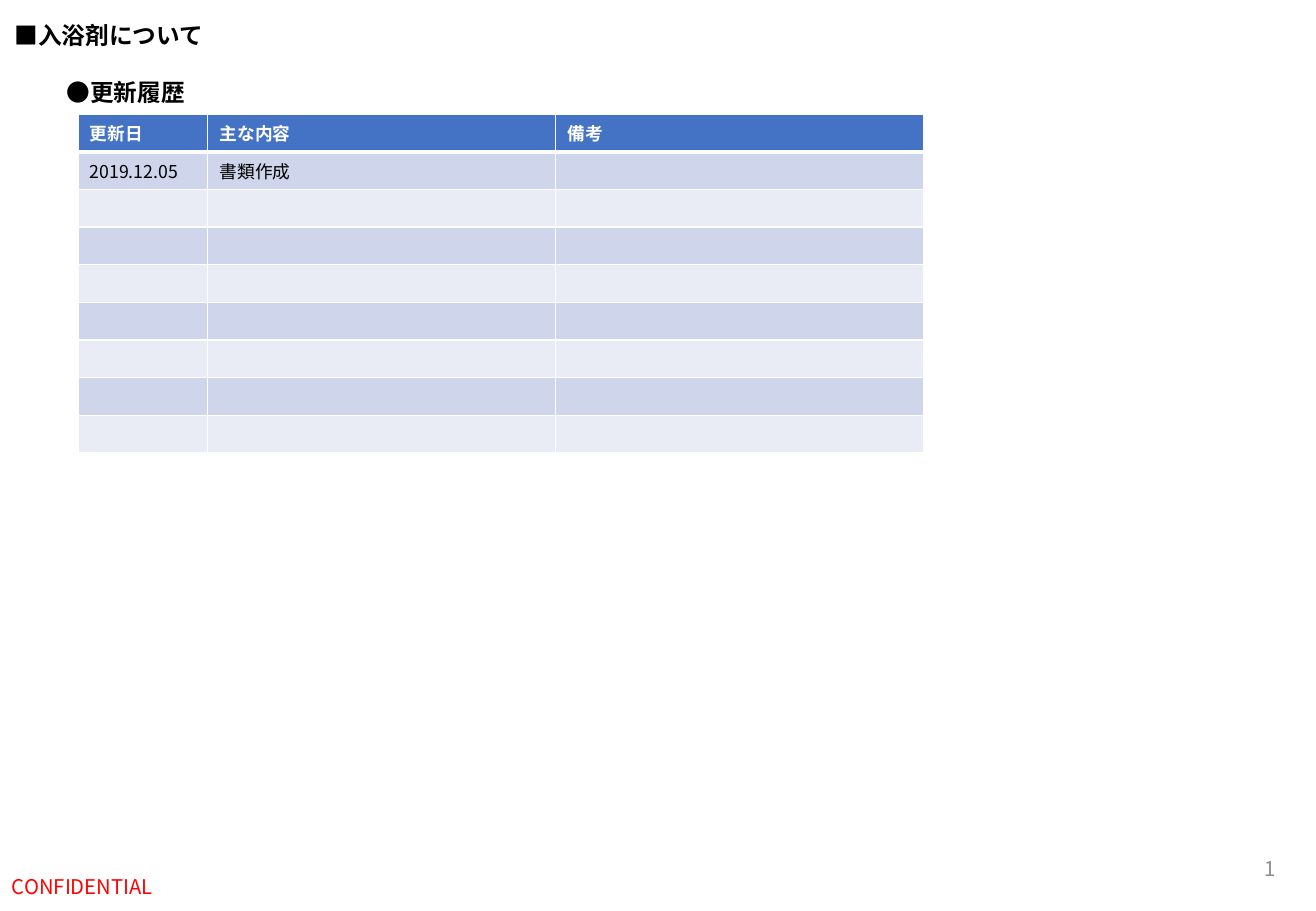
from pptx import Presentation
from pptx.dml.color import RGBColor
from pptx.enum.text import MSO_ANCHOR, MSO_AUTO_SIZE, PP_ALIGN
from pptx.oxml.ns import qn
from pptx.util import Inches, Pt
from lxml.etree import SubElement

# Content
TITLE = "■入浴剤について"
SUBTITLE = "●更新履歴"
HEADER = ("更新日", "主な内容", "備考")
HISTORY = [("2019.12.05", "書類作成", "")]
EMPTY_ROWS = 7
PAGE = "1"
CONFIDENTIAL = "CONFIDENTIAL"

# Style
FONT = "Noto Sans CJK JP"
COLORS = {"text": "000000", "white": "FFFFFF", "header": "4472C4",
          "odd": "CFD5EA", "even": "E9EBF5", "page": "8C8C8C", "alert": "FF0000"}
TABLE_SIZE = 10.5
COLUMN_WIDTHS = (1.07, 2.86, 3.03)
ROW_HEIGHT = 0.31


def style_run(run, size, color, bold=False):
    font = run.font
    font.size, font.bold, font.name = Pt(size), bold, FONT
    font.color.rgb = RGBColor.from_string(COLORS[color])
    SubElement(font._element, qn("a:ea"), typeface=FONT)


def write(shape, box, text, size, color, bold=False, align=PP_ALIGN.LEFT,
          anchor=MSO_ANCHOR.TOP, wrap=True):
    shape.left, shape.top, shape.width, shape.height = map(Inches, box)
    frame = shape.text_frame
    frame.word_wrap = wrap
    frame.auto_size = MSO_AUTO_SIZE.NONE if wrap else MSO_AUTO_SIZE.SHAPE_TO_FIT_TEXT
    frame.vertical_anchor = anchor
    paragraph = frame.paragraphs[0]
    paragraph.alignment = align
    run = paragraph.add_run()
    run.text = text
    style_run(run, size, color, bold)


def border(cell, side, width):
    line = SubElement(cell._tc.get_or_add_tcPr(), qn("a:" + side), w=str(Pt(width)))
    fill = SubElement(line, qn("a:solidFill"))
    SubElement(fill, qn("a:srgbClr"), val=COLORS["white"])


def fill_cell(cell, text, row):
    below_header = 3 if row == 0 else 1
    above = 3 if row == 1 else 1
    for side, width in (("lnL", 1), ("lnR", 1), ("lnT", above), ("lnB", below_header)):
        border(cell, side, width)
    shade = "header" if row == 0 else "odd" if row % 2 else "even"
    cell.fill.solid()
    cell.fill.fore_color.rgb = RGBColor.from_string(COLORS[shade])
    paragraph = cell.text_frame.paragraphs[0]
    if text:
        run = paragraph.add_run()
        run.text = text
        style_run(run, TABLE_SIZE, "white" if row == 0 else "text", row == 0)
    else:
        # Keeps an empty row as low as a filled one
        end = SubElement(paragraph._p, qn("a:endParaRPr"), sz=str(int(TABLE_SIZE * 100)))
        for script in ("latin", "ea"):
            SubElement(end, qn("a:" + script), typeface=FONT)


def main():
    prs = Presentation()
    prs.slide_width, prs.slide_height = Inches(10.83), Inches(7.5)
    slide = prs.slides.add_slide(prs.slide_layouts[5])

    def new_box():
        return slide.shapes.add_textbox(0, 0, 0, 0)

    # Headings
    write(slide.shapes.title, (0.02, 0.12, 1.77, 0.34), TITLE, 14, "text",
          bold=True, wrap=False)
    write(new_box(), (0.45, 0.59, 1.18, 0.34), SUBTITLE, 14, "text",
          bold=True, wrap=False)

    # Update history
    rows = [HEADER] + HISTORY + [("",) * len(HEADER)] * EMPTY_ROWS
    history = slide.shapes.add_table(
        len(rows), len(HEADER), Inches(0.64), Inches(0.94),
        Inches(sum(COLUMN_WIDTHS)), Inches(ROW_HEIGHT * len(rows))).table
    for column, width in zip(history.columns, COLUMN_WIDTHS):
        column.width = Inches(width)
    for r, row in enumerate(rows):
        history.rows[r].height = Inches(ROW_HEIGHT)
        for c, text in enumerate(row):
            fill_cell(history.cell(r, c), text, r)

    # Footer
    write(new_box(), (8.16, 6.95, 2.44, 0.4), PAGE, 12, "page",
          align=PP_ALIGN.RIGHT, anchor=MSO_ANCHOR.MIDDLE)
    write(new_box(), (0, 7.1, 3.38, 0.4), CONFIDENTIAL, 12, "alert",
          anchor=MSO_ANCHOR.MIDDLE)

    prs.save("out.pptx")


if __name__ == "__main__":
    main()
